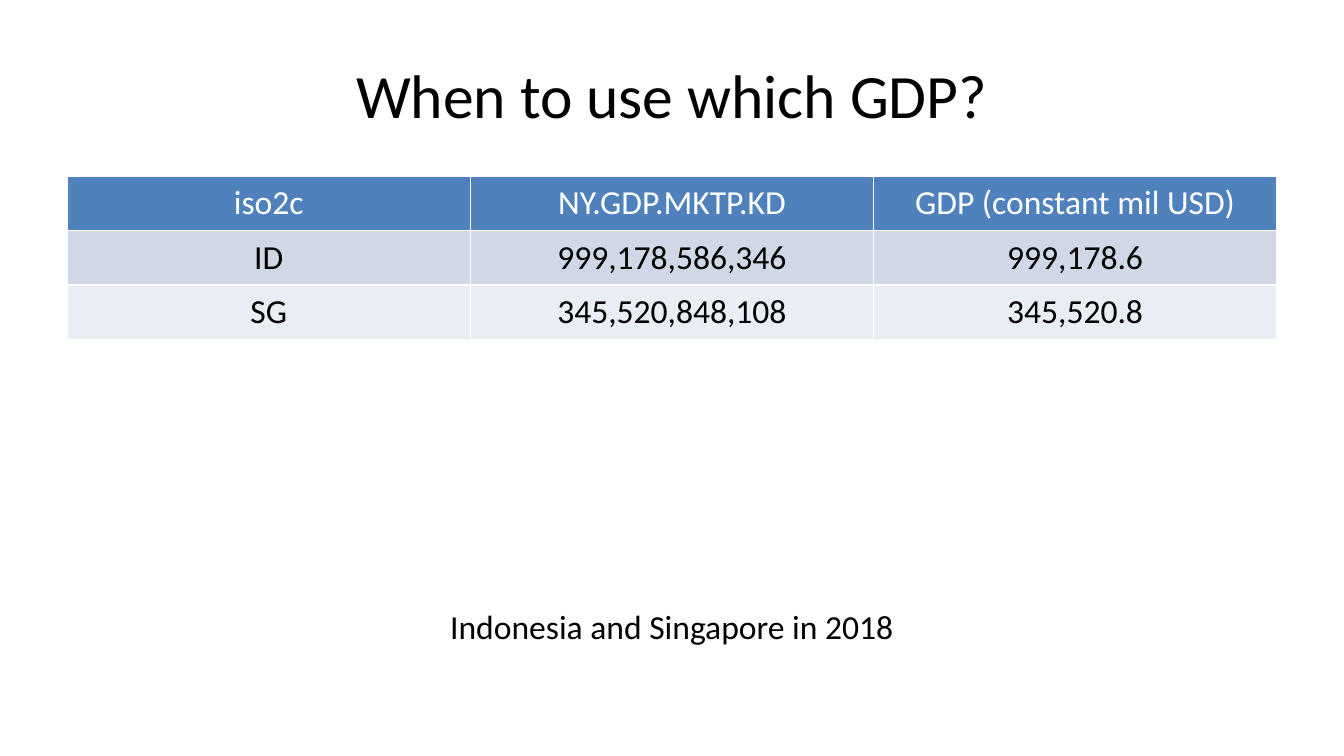
from pptx import Presentation
from pptx import util as u
from pptx.dml import color
from pptx.enum import text

INK, PAPER = "000000", "FFFFFF"
HEAD, BANDS = "4F81BD", ("D0D8E8", "E9EDF4")
ROWS = [
    ("iso2c", "NY.GDP.MKTP.KD", "GDP (constant mil USD)"),
    ("ID", "999,178,586,346", "999,178.6"),
    ("SG", "345,520,848,108", "345,520.8"),
]


def paint(part, tone):
    part.rgb = color.RGBColor.from_string(tone)


def write(frame, words, size=18, tone=INK):
    para = frame.paragraphs[0]
    para.alignment = text.PP_ALIGN.CENTER
    run = para.add_run()
    run.text = words
    form = {"name": "Calibri", "size": u.Pt(size), "bold": False}
    for key, val in form.items():
        setattr(run.font, key, val)
    paint(run.font.color, tone)


def add_title(slide, box, words):
    title = slide.shapes.title
    for key, val in zip(("left", "top", "width", "height"), box):
        setattr(title, key, u.Cm(val))
    title.text_frame.vertical_anchor = text.MSO_ANCHOR.MIDDLE
    write(title.text_frame, words, 33)


def add_grid(slide, box, rows):
    # The table style supplies the white rules between cells
    grid = slide.shapes.add_table(
        len(rows), len(rows[0]), *map(u.Cm, box)).table
    for r, row in enumerate(rows):
        fill = BANDS[(r - 1) % 2] if r else HEAD
        for c, words in enumerate(row):
            cell = grid.cell(r, c)
            cell.fill.solid()
            paint(cell.fill.fore_color, fill)
            write(cell.text_frame, words, tone=INK if r else PAPER)


def add_note(slide, box, words):
    note = slide.shapes.add_textbox(*map(u.Cm, box))
    note.text_frame.word_wrap = True
    write(note.text_frame, words)


deck = Presentation()
deck.slide_width, deck.slide_height = u.Cm(25.4), u.Cm(14.29)
slide = deck.slides.add_slide(deck.slide_layouts[5])

# Title, table and caption share one left edge and width
left, wide = 1.27, 22.86
add_title(slide, (left, 0.58, wide, 2.39), "When to use which GDP?")
add_grid(slide, (left, 3.33, wide, 3.07), ROWS)
add_note(slide, (left, 11.33, wide, 1.42), "Indonesia and Singapore in 2018")

deck.save("out.pptx")
